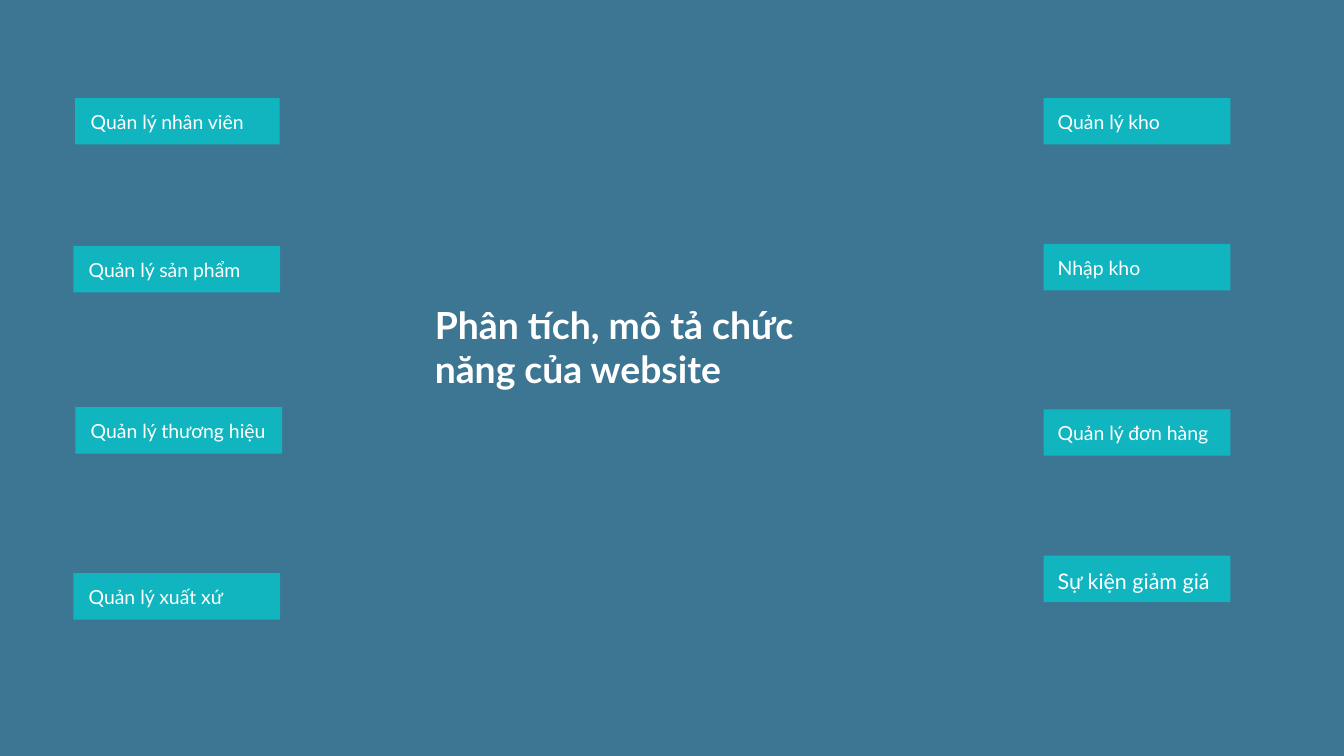
from dataclasses import dataclass

from pptx import Presentation
from pptx import util as u
from pptx.dml.color import RGBColor
from pptx.enum import shapes, text

PX = u.Inches(1) // 100  # one px is a hundredth of an inch


@dataclass(frozen=True)
class Theme:
    background: RGBColor = RGBColor.from_string("3D7692")
    label: RGBColor = RGBColor.from_string("10B5BF")
    ink: RGBColor = RGBColor.from_string("FFFFFF")
    font: str = "Lato"
    title_size: float = 40
    label_size: float = 20.8
    large_label_size: float = 23


theme = Theme()


def add_text(parent, words, *, left, top, width, height, size, leading, bold=False):
    box = parent.add_textbox(left * PX, top * PX, width * PX, height * PX)
    frame = box.text_frame
    frame.margin_left = frame.margin_right = 0
    frame.margin_top = frame.margin_bottom = 0
    frame.word_wrap = True
    frame.auto_size = text.MSO_AUTO_SIZE.SHAPE_TO_FIT_TEXT
    para = frame.paragraphs[0]
    para.line_spacing = u.Pt(leading)
    span = para.add_run()
    span.text = words
    span.font.name = theme.font
    span.font.size = u.Pt(size)
    span.font.bold = bold
    span.font.color.rgb = theme.ink


def add_label(words, *, left, top, width, inset, size=theme.label_size):
    group = page.shapes.add_group_shape().shapes
    bar = group.add_shape(shapes.MSO_SHAPE.RECTANGLE,
                          left * PX, top * PX, width * PX, 69 * PX)
    bar.shadow.inherit = False
    bar.fill.solid()
    bar.fill.fore_color.rgb = theme.label
    bar.line.fill.background()
    add_text(group, words, left=left + inset, top=top + 12, width=width - 2 * inset,
             height=38 if size == theme.label_size else 41,
             size=size, leading=round(size * 1.4, 1))


deck = Presentation()
deck.slide_width, deck.slide_height = 2000 * PX, 1125 * PX
page = deck.slides.add_slide(deck.slide_layouts[6])
page.background.fill.solid()
page.background.fill.fore_color.rgb = theme.background

add_text(page.shapes, "Phân tích, mô tả chức năng của website",
         left=647, top=449, width=658, height=131,
         size=theme.title_size, leading=48, bold=True)

for words, left, top, width in [
    ("Quản lý nhân viên", 112, 146, 304),
    ("Quản lý sản phẩm", 109, 366, 308),
    ("Quản lý thương hiệu", 112, 606, 308),
    ("Quản lý xuất xứ", 109, 853, 308),
]:
    add_label(words, left=left, top=top, width=width, inset=23)

for words, top, size in [
    ("Quản lý kho", 146, theme.label_size),
    ("Nhập kho", 363, theme.label_size),
    ("Quản lý đơn hàng", 609, theme.label_size),
    ("Sự kiện giảm giá", 827, theme.large_label_size),
]:
    add_label(words, left=1553, top=top, width=278, inset=21, size=size)

deck.save("out.pptx")
